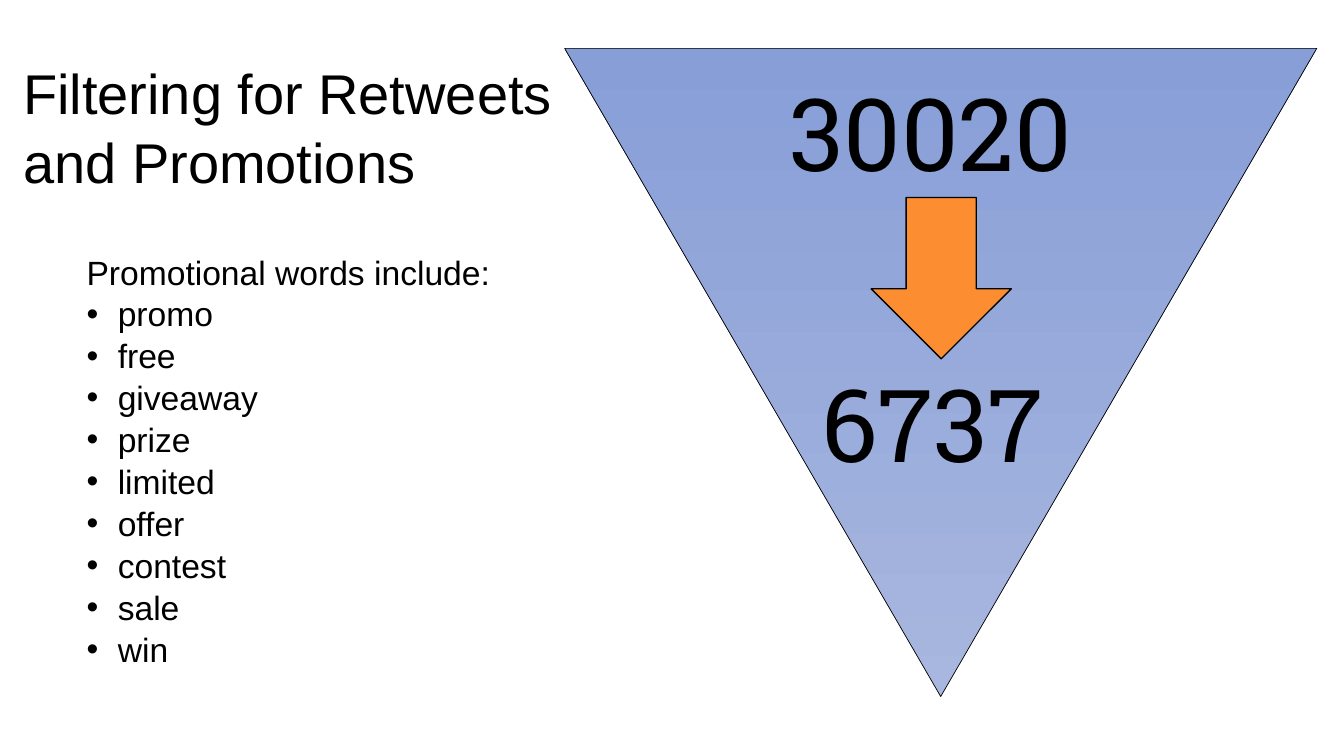
"""Build the slide on filtering tweets for retweets and promotions."""
from lxml import etree
from pptx import Presentation
from pptx.dml.color import RGBColor
from pptx.enum import shapes, text
from pptx.oxml import ns
from pptx.util import Emu, Pt

PX = 9144
BLACK = RGBColor(0x00, 0x00, 0x00)
ORANGE = RGBColor(0xFC, 0x8D, 0x30)
FUNNEL_COLORS = [RGBColor(0xA8, 0xB7, 0xDF), RGBColor(0x88, 0x9E, 0xD7)]

SLIDE_SIZE = (1333, 750)
TITLE = "Filtering for Retweets and Promotions"
TITLE_BOX = (13, 50, 602, 145)
INTRO = "Promotional words include:"
WORDS = ["promo", "free", "giveaway", "prize", "limited", "offer", "contest", "sale", "win"]
WORDS_BOX = (76, 243, 469, 454)
BULLET_INDENT = 31
COUNTS = [("30020", (773, 65, 322, 131)), ("6737", (805, 354, 257, 131))]
FUNNEL_BOX = (560, 48, 746, 643)
ARROW_BOX = (864, 196, 139, 160)


def emu(box):
    return [Emu(length * PX) for length in box]


def write(shape, lines, size, font="Arial", spacing=None, bulleted_from=None):
    """Fill a shape with left-aligned lines, bulleted from the given index on."""
    frame = shape.text_frame
    frame.word_wrap = True
    frame.auto_size = text.MSO_AUTO_SIZE.NONE
    frame.vertical_anchor = text.MSO_ANCHOR.TOP
    for index, line in enumerate(lines):
        paragraph = frame.paragraphs[0] if index == 0 else frame.add_paragraph()
        paragraph.alignment = text.PP_ALIGN.LEFT
        paragraph.line_spacing = spacing
        run = paragraph.add_run()
        run.text = line
        run.font.size = Pt(size)
        run.font.name = font
        run.font.color.rgb = BLACK
        if bulleted_from is not None and index >= bulleted_from:
            properties = paragraph._p.get_or_add_pPr()
            properties.set("marL", str(BULLET_INDENT * PX))
            properties.set("indent", str(-BULLET_INDENT * PX))
            etree.SubElement(properties, ns.qn("a:buFont"), typeface="Arial")
            etree.SubElement(properties, ns.qn("a:buChar"), char="•")


def add_outlined(slide, kind, box, line_width):
    shape = slide.shapes.add_shape(kind, *emu(box))
    shape.shadow.inherit = False
    shape.line.color.rgb = BLACK
    shape.line.width = Pt(line_width)
    return shape


def main():
    presentation = Presentation()
    presentation.slide_width, presentation.slide_height = emu(SLIDE_SIZE)
    slide = presentation.slides.add_slide(presentation.slide_layouts[5])

    title = slide.shapes.title
    title.left, title.top, title.width, title.height = emu(TITLE_BOX)
    write(title, [TITLE], 40, spacing=1.04)

    funnel = add_outlined(slide, shapes.MSO_SHAPE.ISOSCELES_TRIANGLE, FUNNEL_BOX, 0.5)
    funnel.rotation = 180
    funnel.fill.gradient()
    funnel.fill.gradient_angle = 270
    for stop, color in zip(funnel.fill.gradient_stops, FUNNEL_COLORS):
        stop.color.rgb = color

    arrow = add_outlined(slide, shapes.MSO_SHAPE.DOWN_ARROW, ARROW_BOX, 1)
    arrow.fill.solid()
    arrow.fill.fore_color.rgb = ORANGE

    for count, box in COUNTS:
        write(slide.shapes.add_textbox(*emu(box)), [count], 72, font="Roboto Slab")

    words = slide.shapes.add_textbox(*emu(WORDS_BOX))
    write(words, [INTRO, *WORDS], 24, spacing=1.04, bulleted_from=1)

    presentation.save("out.pptx")


if __name__ == "__main__":
    main()
